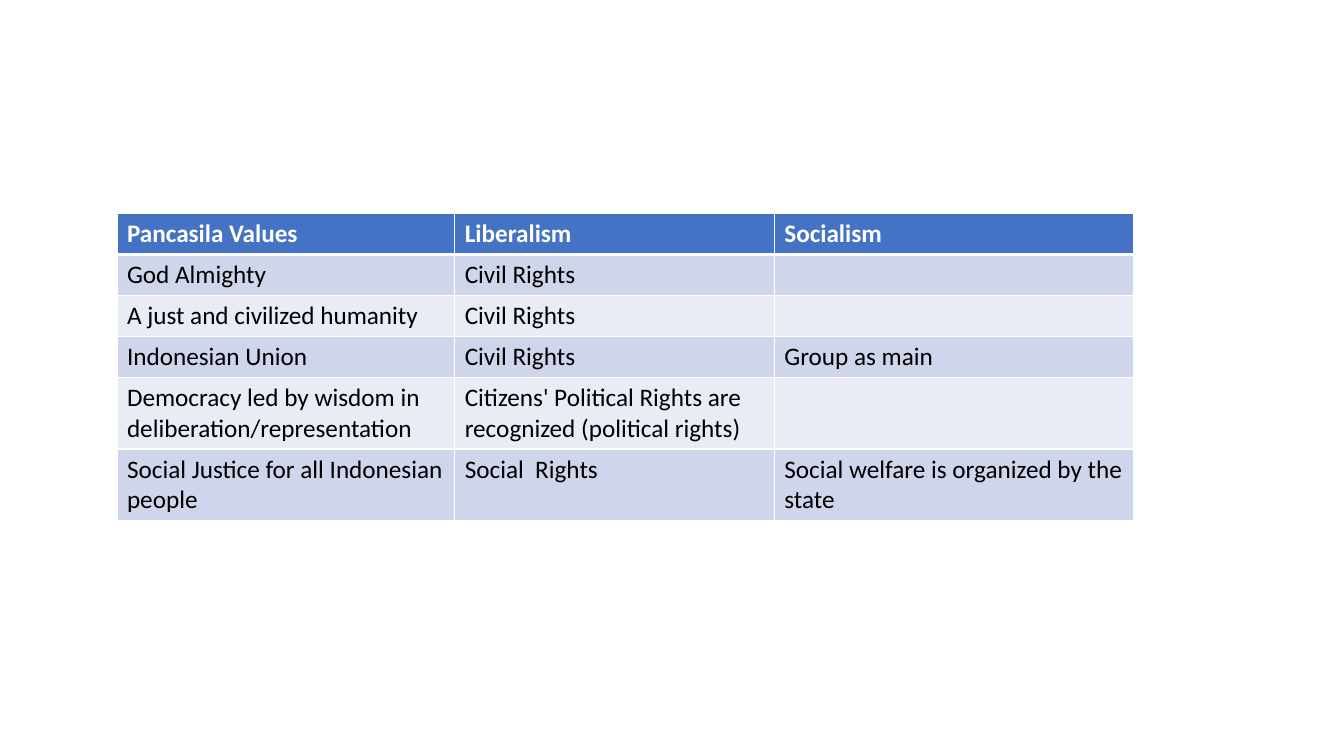
"""Build a slide with a table comparing Pancasila values with two ideologies."""
from lxml import etree
from pptx import Presentation
from pptx.dml.color import RGBColor
from pptx.oxml.ns import qn
from pptx.util import Inches, Pt

ROWS = [
    ("Pancasila Values", "Liberalism", "Socialism"),
    ("God Almighty", "Civil Rights", ""),
    ("A just and civilized humanity", "Civil Rights", ""),
    ("Indonesian Union", "Civil Rights", "Group as main"),
    ("Democracy led by wisdom in deliberation/representation",
     "Citizens' Political Rights are recognized (political rights)", ""),
    ("Social Justice for all Indonesian people", "Social  Rights",
     "Social welfare is organized by the state"),
]
WIDTHS = (3.35, 3.17, 3.56)
LEFT, TOP = 1.16, 2.12
LINE, TALL = 0.406, 0.704
HEIGHTS = (LINE,) * 4 + (TALL,) * 2
WHITE = RGBColor(0xFF, 0xFF, 0xFF)
BLACK = RGBColor(0, 0, 0)
BLUE = RGBColor(0x44, 0x72, 0xC4)
BANDS = (RGBColor(0xE9, 0xEB, 0xF5), RGBColor(0xCF, 0xD5, 0xEA))
BASE = {"name": "Calibri", "size": Pt(18)}
HEAD = {**BASE, "bold": True}
BODY = {**BASE, "bold": False}


def edge(cell, side, width):
    props = cell._tc.get_or_add_tcPr()
    line = etree.SubElement(props, qn("a:ln" + side), w=str(Pt(width)))
    fill = etree.SubElement(line, qn("a:solidFill"))
    etree.SubElement(fill, qn("a:srgbClr"), val=str(WHITE))


def dress(cell, text, row):
    thick = {0: "B", 1: "T"}.get(row)
    for side in "LRTB":
        edge(cell, side, 3 if side == thick else 1)
    cell.fill.solid()
    cell.fill.fore_color.rgb = BANDS[row % 2] if row else BLUE
    cell.text = text
    font = cell.text_frame.paragraphs[0].font
    for key, value in (BODY if row else HEAD).items():
        setattr(font, key, value)
    font.color.rgb = BLACK if row else WHITE


def main():
    deck = Presentation()
    deck.slide_width, deck.slide_height = Inches(13.33), Inches(7.5)
    slide = deck.slides.add_slide(deck.slide_layouts[6])
    box = [Inches(n) for n in (LEFT, TOP, sum(WIDTHS), sum(HEIGHTS))]
    table = slide.shapes.add_table(len(ROWS), len(WIDTHS), *box).table
    for col, width in zip(table.columns, WIDTHS):
        col.width = Inches(width)
    for row, height in zip(table.rows, HEIGHTS):
        row.height = Inches(height)
    for row, texts in enumerate(ROWS):
        for col, text in enumerate(texts):
            dress(table.cell(row, col), text, row)
    deck.save("out.pptx")


if __name__ == "__main__":
    main()
